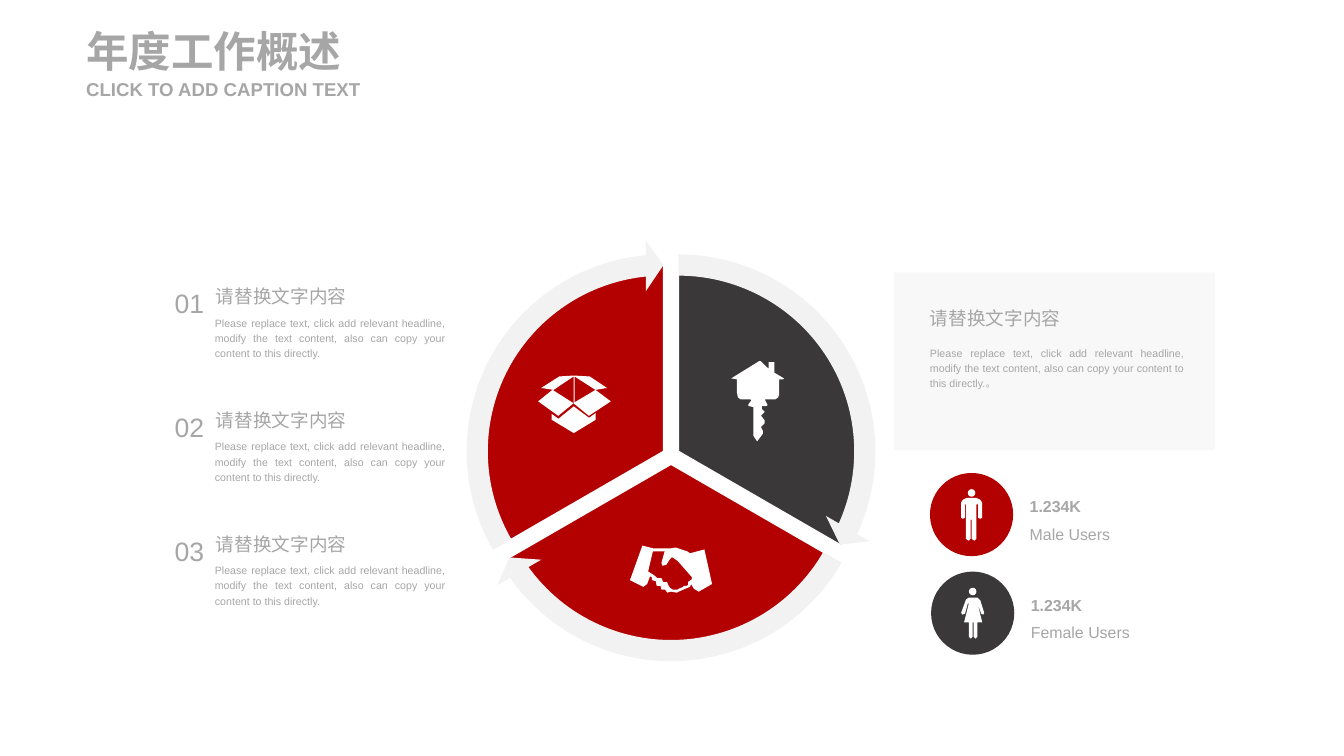
from math import cos, radians, sin

from lxml.etree import SubElement
from pptx import Presentation
from pptx.dml.color import RGBColor
from pptx.enum.shapes import MSO_SHAPE
from pptx.enum.text import MSO_ANCHOR, PP_ALIGN
from pptx.oxml.ns import qn
from pptx.util import Cm, Pt

RED = RGBColor(0xB3, 0x00, 0x00)
DARK = RGBColor(0x3A, 0x38, 0x38)
PALE = RGBColor(0xF2, 0xF2, 0xF2)
GRAY = RGBColor(0xA6, 0xA6, 0xA6)
WHITE = RGBColor(0xFF, 0xFF, 0xFF)
FONT = "Arial"

TITLE = "年度工作概述"
CAPTION = "CLICK TO ADD CAPTION TEXT"
HEADING = "请替换文字内容"
BODY = ("Please replace text, click add relevant headline, modify the text "
        "content, also can copy your content to this directly.")
NUMBERS = ["01", "02", "03"]

# Sector colour and start angle, clockwise from three o'clock
SECTORS = [(DARK, 270), (RED, 30), (RED, 150)]
SWEEP = 120

# Outlines on small integer grids, one list of points per contour
HANDSHAKE = [
    [(78, 4), (63, 8), (60, 6), (48, 2), (42, 3), (25, 3), (13, 0), (0, 36),
     (14, 43), (18, 40), (21, 32), (23, 33), (23, 36), (27, 37), (28, 42),
     (32, 42), (33, 46), (37, 46), (39, 49), (43, 48), (49, 49), (51, 48),
     (58, 45), (63, 43), (64, 40), (67, 45), (72, 48), (86, 40)],
    [(62, 37), (61, 38), (61, 41), (59, 42), (56, 42), (56, 43), (51, 45),
     (50, 46), (45, 46), (42, 44), (40, 41), (39, 38), (35, 38), (33, 34),
     (29, 34), (24, 30), (19, 27), (24, 6), (37, 6), (36, 7), (33, 18),
     (34, 21), (38, 20), (42, 14), (44, 12), (50, 16), (65, 33), (65, 35)],
]
BOX_LID = [[(34, 29), (50, 42), (73, 27), (57, 15), (35, 28), (35, 1),
            (57, 15), (69, 13), (51, 1), (34, 0), (19, 1), (0, 13), (13, 15),
            (34, 1)]]
BOX_FLAP = [[(0, 12), (21, 27), (37, 14), (15, 0)]]
BOX_BASE = [[(23, 0), (7, 13), (0, 8), (0, 14), (23, 28), (46, 14), (46, 7),
             (39, 12)]]
HOUSE_KEY = [[(6, 33), (6, 19), (0, 18), (29, 0), (31, 0), (39, 8), (39, 1),
              (45, 1), (45, 12), (55, 18), (54, 19), (50, 19), (50, 35),
              (49, 38), (46, 40), (35, 40), (38, 46), (37, 47), (32, 47),
              (32, 50), (35, 53), (31, 57), (35, 62), (35, 65), (31, 69),
              (33, 73), (33, 76), (27, 84), (23, 78), (23, 48), (18, 47),
              (18, 45), (21, 41), (20, 40), (10, 40), (7, 38)]]
MAN = [[(16, 0), (6, 0), (2, 2), (0, 5), (0, 21), (2, 22), (4, 21), (4, 7),
        (5, 7), (5, 43), (8, 45), (10, 43), (10, 23), (11, 23), (11, 43),
        (14, 45), (16, 43), (16, 7), (18, 7), (18, 21), (20, 22), (22, 21),
        (22, 5), (20, 2)]]
WOMAN = [[(20, 3), (17, 0), (8, 0), (5, 2), (0, 16), (1, 18), (4, 17), (7, 6),
          (8, 6), (3, 26), (8, 26), (8, 41), (10, 43), (12, 41), (12, 26),
          (13, 26), (13, 41), (15, 43), (17, 41), (17, 26), (22, 26), (17, 6),
          (21, 17), (23, 18), (24, 16)]]

# Outline, left, top, width, height in cm
ICONS = [
    (HANDSHAKE, 16.74, 14.5, 2.18, 1.25),
    (BOX_LID, 14.38, 9.98, 1.85, 1.07),
    (BOX_FLAP, 14.3, 10.36, 0.94, 0.69),
    (BOX_BASE, 14.66, 10.8, 1.17, 0.71),
    (HOUSE_KEY, 19.43, 9.6, 1.4, 2.13),
]

# Colour, badge left and top, outline, its offset, width, height, value, label
USERS = [
    (RED, 24.71, 12.57, MAN, 0.66, 0.56, 1.14, "1.234K", "Male Users"),
    (DARK, 24.74, 15.19, WOMAN, 0.69, 0.61, 1.09, "1.234K", "Female Users"),
]

deck = Presentation()
deck.slide_width, deck.slide_height = Cm(35.71), Cm(20.09)
slide = deck.slides.add_slide(deck.slide_layouts[6])
shapes = slide.shapes


def paint(shape, color):
    """Give a shape a flat fill with neither line nor shadow."""
    shape.shadow.inherit = False
    shape.fill.solid()
    shape.fill.fore_color.rgb = color
    shape.line.fill.background()
    return shape


def add_preset(kind, left, top, width, height, color):
    """Add a flat preset shape placed in cm."""
    return paint(shapes.add_shape(kind, Cm(left), Cm(top), Cm(width),
                                  Cm(height)), color)


def add_icon(contours, left, top, width, height):
    """Stretch a white outline from its grid to a box in cm."""
    columns, rows = (max(axis) for axis in zip(*contours[0]))
    scale = (Cm(width) / columns, Cm(height) / rows)
    outline = shapes.build_freeform(*contours[0][0], scale=scale)
    outline.add_line_segments(contours[0][1:], close=True)
    for contour in contours[1:]:
        outline.move_to(*contour[0])
        outline.add_line_segments(contour[1:], close=True)
    paint(outline.convert_to_shape(Cm(left), Cm(top)), WHITE)


def add_text(words, left, top, width, height, size, bold=False,
             align=PP_ALIGN.LEFT, spacing=1.2):
    """Add a gray one-paragraph text box placed in cm."""
    frame = shapes.add_textbox(Cm(left), Cm(top), Cm(width),
                               Cm(height)).text_frame
    frame.word_wrap = True
    frame.text = words
    paragraph = frame.paragraphs[0]
    paragraph.alignment = align
    paragraph.line_spacing = spacing
    font = paragraph.runs[0].font
    font.name, font.size, font.bold = FONT, Pt(size), bold
    font.color.rgb = GRAY
    return frame


def add_banner(words, top, height, size):
    """Add a bold heading line without margins."""
    frame = add_text(words, 2.29, top, 7.8, height, size, True, spacing=1.0)
    frame.vertical_anchor = MSO_ANCHOR.MIDDLE
    frame.margin_left = frame.margin_right = 0
    frame.margin_top = frame.margin_bottom = 0


def add_ring_part(kind, start, diameter, color):
    """Add a ring part pushed outwards along the middle of its sector."""
    middle = radians(start + SWEEP / 2)
    left = 17.83 + 0.23 * cos(middle) - diameter / 2
    top = 12.11 + 0.23 * sin(middle) - diameter / 2
    return add_preset(kind, left, top, diameter, diameter, color)


# Preset angles count 0.6 per degree
for color, start in SECTORS:
    sector = add_ring_part(MSO_SHAPE.PIE, start, 10, color)
    sector.adjustments[0] = start * 0.6
    sector.adjustments[1] = (start + SWEEP) % 360 * 0.6
    sector.line.color.rgb = WHITE
    sector.line.width = Pt(1)

HEAD_ANGLE = 3.28
for _, start in SECTORS:
    arrow = add_ring_part(MSO_SHAPE.CIRCULAR_ARROW, start, 11.25, PALE)
    end = (start + SWEEP) % 360 * 0.6 - HEAD_ANGLE
    for index, value in enumerate((0.05, HEAD_ANGLE, end, start * 0.6, 0.06)):
        arrow.adjustments[index] = value

for icon in ICONS:
    add_icon(*icon)

for row, number in enumerate(NUMBERS):
    top = 7.34 + 3.29 * row
    add_text(number, 4.39, top, 1.3, 1.19, 20)
    add_text(HEADING, 5.49, top, 4.14, 0.91, 14)
    add_text(BODY, 5.46, top + 0.88, 6.63, 1.45, 8, align=PP_ALIGN.JUSTIFY)

panel = add_preset(MSO_SHAPE.RECTANGLE, 23.75, 7.24, 8.53, 4.72, PALE)
panel_color = panel.fill._xPr.find(qn("a:solidFill"))[0]
SubElement(panel_color, qn("a:alpha")).set("val", "50000")
add_text(HEADING, 24.46, 7.92, 4.14, 0.91, 14)
add_text(BODY + "。", 24.46, 9.02, 7.26, 1.5, 8, align=PP_ALIGN.JUSTIFY)

BADGE, HEAD = 2.21, 0.2
for color, left, top, body, offset, width, height, value, label in USERS:
    middle = left + BADGE / 2
    add_preset(MSO_SHAPE.OVAL, left, top, BADGE, BADGE, color)
    add_preset(MSO_SHAPE.OVAL, middle - HEAD / 2, top + 0.43, HEAD, HEAD, WHITE)
    add_icon(body, middle - width / 2, top + offset, width, height)
    add_text(value, left + 2.4, top + 0.41, 1.9, 0.81, 12, True)
    add_text(label, left + 2.4, top + 1.14, 3.25, 0.81, 12)

add_banner(TITLE, 0.66, 1.37, 32)
add_banner(CAPTION, 2.06, 0.61, 14)

deck.save("out.pptx")
